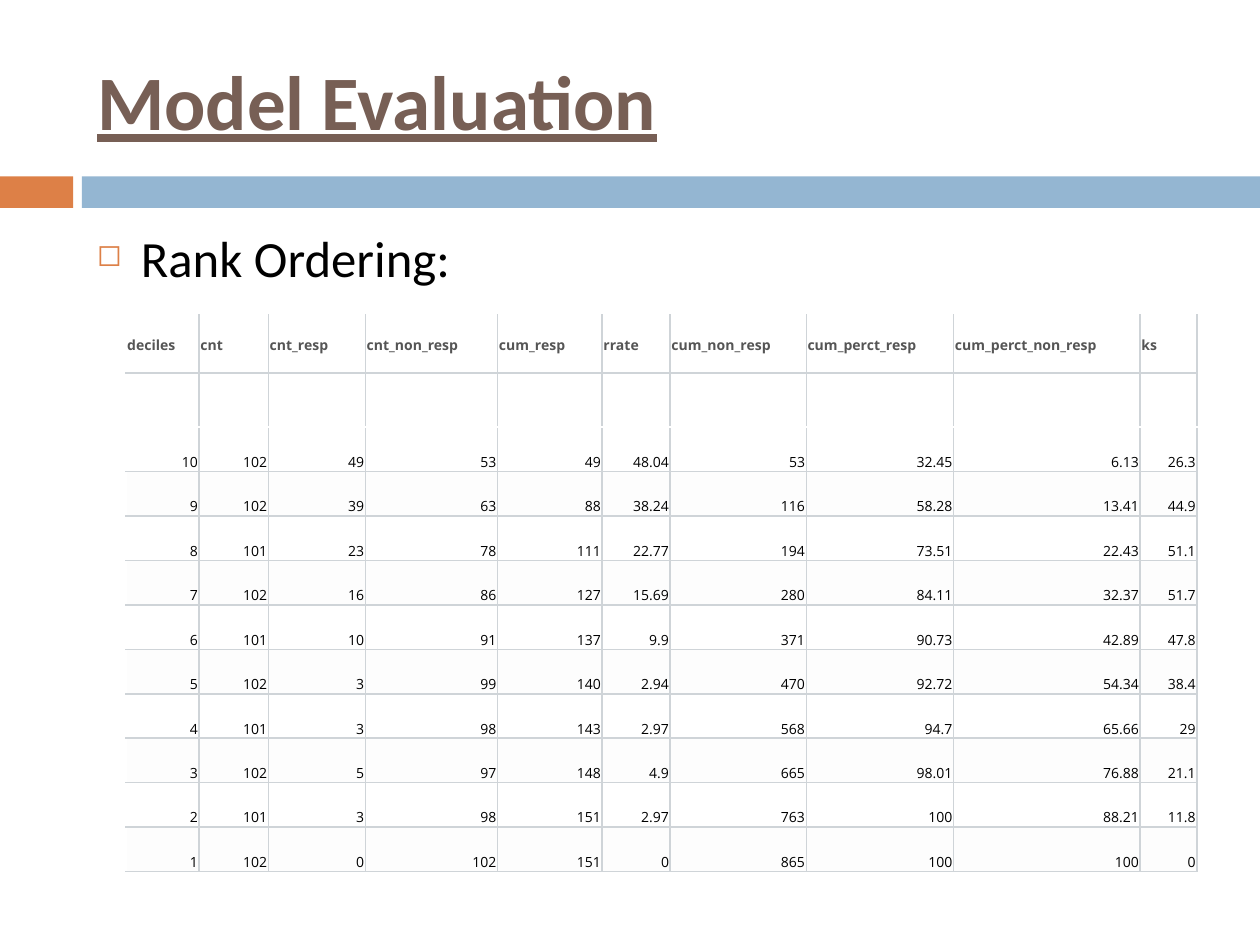
from dataclasses import dataclass

from lxml.etree import SubElement
from pptx import Presentation
from pptx.dml.color import RGBColor as Rgb
from pptx.enum.shapes import MSO_SHAPE as Kind
from pptx.enum.text import MSO_ANCHOR as Anchor, PP_ALIGN as Align
from pptx.oxml import parse_xml
from pptx.oxml.ns import nsdecls, qn
from pptx.util import Inches, Pt


@dataclass(frozen=True)
class Theme:
    title: str = "775F55"
    accent: str = "DD8047"
    band: str = "94B6D2"
    ink: str = "000000"
    head: str = "555555"
    rule: str = "CFD4D8"
    plain: str = "FFFFFF"
    tint: str = "FDFDFD"
    font: str = "Calibri"
    data: str = "Open Sans"
    big: float = 44
    mid: float = 29
    small: float = 8


THEME = Theme()
HEADS = ("deciles cnt cnt_resp cnt_non_resp cum_resp rrate cum_non_resp "
         "cum_perct_resp cum_perct_non_resp ks").split()
ROWS = [line.split() for line in """\
10 102 49 53 49 48.04 53 32.45 6.13 26.3
9 102 39 63 88 38.24 116 58.28 13.41 44.9
8 101 23 78 111 22.77 194 73.51 22.43 51.1
7 102 16 86 127 15.69 280 84.11 32.37 51.7
6 101 10 91 137 9.9 371 90.73 42.89 47.8
5 102 3 99 140 2.94 470 92.72 54.34 38.4
4 101 3 98 143 2.97 568 94.7 65.66 29
3 102 5 97 148 4.9 665 98.01 76.88 21.1
2 101 3 98 151 2.97 763 100 88.21 11.8
1 102 0 102 151 0 865 100 100 0""".splitlines()]
WIDTHS = [0.58, 0.55, 0.77, 1.05, 0.83, 0.54, 1.08, 1.17, 1.48, 0.45]
HEAD_H, GAP_H = 0.46, 0.43


def style(para, font, size, color, bold=False, line=False):
    for run in para.runs:
        run.font.name = font
        run.font.size = Pt(size)
        run.font.color.rgb = Rgb.from_string(color)
        run.font.bold = bold
        run.font.underline = line


def add_title(slide, box):
    title = slide.shapes.title
    title.left, title.top, title.width, title.height = map(Inches, box)
    frame = title.text_frame
    frame.text = "Model Evaluation"
    frame.vertical_anchor = Anchor.MIDDLE
    para = frame.paragraphs[0]
    para.alignment = Align.LEFT
    style(para, THEME.font, THEME.big, THEME.title, bold=True, line=True)


def add_bands(slide, box):
    left, top, width, height = box
    for x, w, color in ((left, 0.58, THEME.accent),
                        (left + 0.65, width - 0.65, THEME.band)):
        bar = slide.shapes.add_shape(
            Kind.RECTANGLE, *map(Inches, (x, top, w, height)))
        bar.shadow.inherit = False
        bar.fill.solid()
        bar.fill.fore_color.rgb = Rgb.from_string(color)
        bar.line.fill.background()


def add_body(slide, box):
    frame = slide.shapes.add_textbox(*map(Inches, box)).text_frame
    frame.word_wrap = True
    para = frame.paragraphs[0]
    para.text = "Rank Ordering:"
    para.space_before = Pt(7)
    style(para, THEME.font, THEME.mid, THEME.ink)
    props = para._p.get_or_add_pPr()
    props.set("marL", str(Inches(0.35)))
    props.set("indent", str(Inches(-0.35)))
    tone = SubElement(props, qn("a:buClr"))
    SubElement(tone, qn("a:srgbClr"), val=THEME.accent)
    SubElement(props, qn("a:buSzPct"), val="60000")
    SubElement(props, qn("a:buChar"), char="◻")


def add_rules(cell, sides):
    props = cell._tc.get_or_add_tcPr()
    for spot, side in enumerate(sides):
        props.insert(spot, parse_xml(
            f'<a:ln{side} {nsdecls("a")} w="{Pt(1)}"><a:solidFill>'
            f'<a:srgbClr val="{THEME.rule}"/></a:solidFill></a:ln{side}>'))


def fill_cell(cell, text, row, col):
    cell.margin_left = cell.margin_right = cell.margin_top = Inches(0.01)
    cell.margin_bottom = 0
    cell.text = text
    para = cell.text_frame.paragraphs[0]
    if row < 2:
        cell.fill.background()
        cell.vertical_anchor = Anchor.MIDDLE
        style(para, THEME.data, THEME.small, THEME.head, bold=True)
    else:
        cell.fill.solid()
        shade = THEME.tint if row % 2 else THEME.plain
        cell.fill.fore_color.rgb = Rgb.from_string(shade)
        cell.vertical_anchor = Anchor.BOTTOM
        para.alignment = Align.RIGHT
        style(para, THEME.data, THEME.small, THEME.ink)
    sides = "L" if col else ""
    sides += "R"
    sides += "T" if row not in (0, 2) else ""
    sides += "B" if row != 1 else ""
    add_rules(cell, sides)


def add_grid(slide, box):
    lines = [HEADS, [""] * len(HEADS), *ROWS]
    table = slide.shapes.add_table(
        len(lines), len(HEADS), *map(Inches, box)).table
    table.first_row = table.horz_banding = False
    for col, width in zip(table.columns, WIDTHS):
        col.width = Inches(width)
    step = (box[3] - HEAD_H - GAP_H) / len(ROWS)
    for row, high in zip(table.rows, [HEAD_H, GAP_H] + [step] * len(ROWS)):
        row.height = Inches(high)
    for r, line in enumerate(lines):
        for c, text in enumerate(line):
            fill_cell(table.cell(r, c), text, r, c)


def main():
    deck = Presentation()
    deck.slide_width, deck.slide_height = Inches(10), Inches(7.5)
    slide = deck.slides.add_slide(deck.slide_layouts[5])
    add_bands(slide, (0, 1.4, 10, 0.25))
    add_title(slide, (0.67, 0.25, 8.92, 1.08))
    add_body(slide, (0.67, 1.75, 8.92, 4.92))
    add_grid(slide, (1, 2.5, 8.5, 4.42))
    deck.save("out.pptx")


if __name__ == "__main__":
    main()
